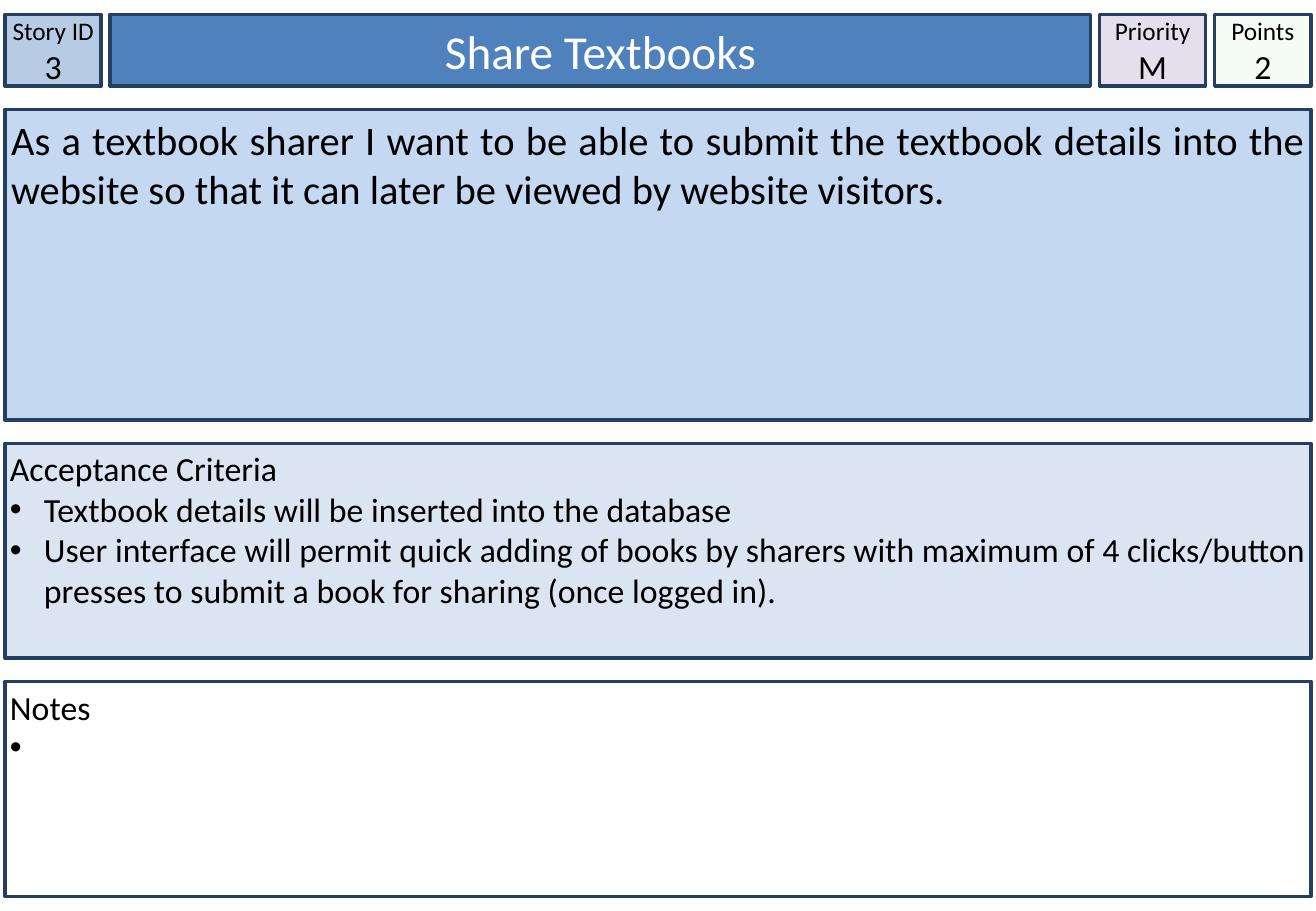
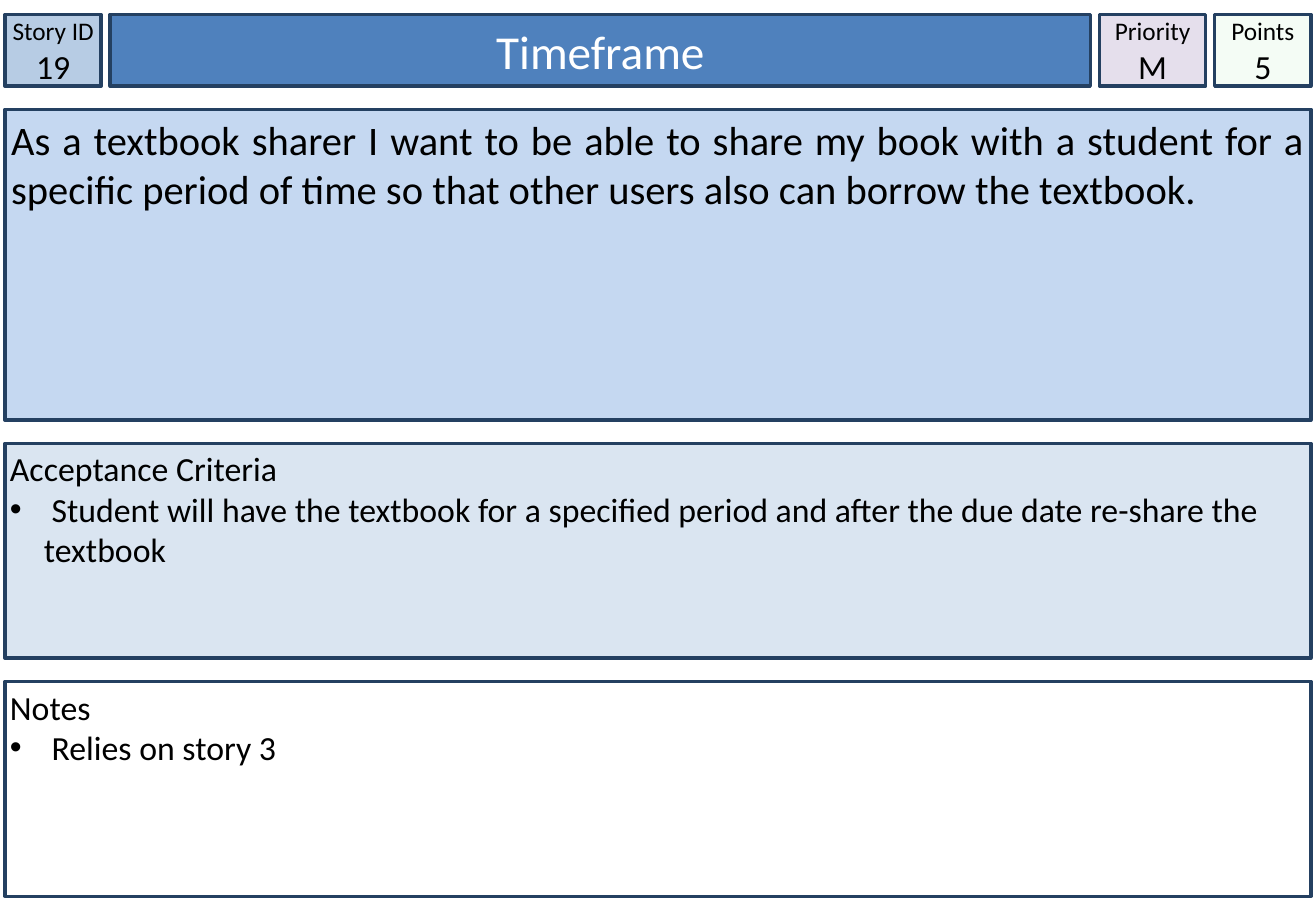
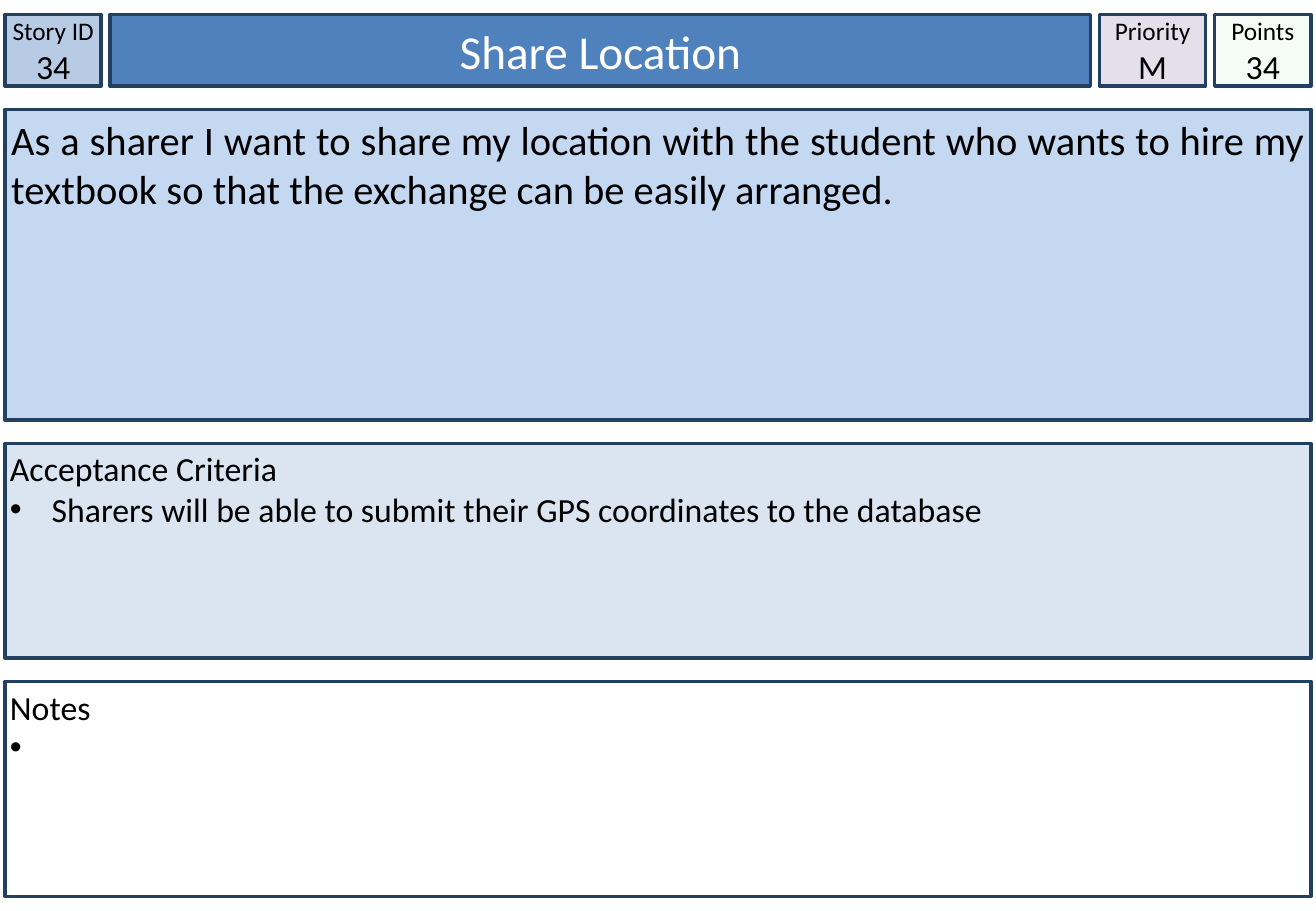
"""Build three user story cards, one per slide."""

import dataclasses

import pptx
import pptx.dml.color
import pptx.enum.shapes
import pptx.enum.text
import pptx.oxml.ns
import pptx.util
from lxml import etree

Pt = pptx.util.Pt
RGB = pptx.dml.color.RGBColor.from_string
ALIGN = pptx.enum.text.PP_ALIGN
ANCHOR = pptx.enum.text.MSO_ANCHOR
qn = pptx.oxml.ns.qn


@dataclasses.dataclass(frozen=True)
class Theme:
    font: str = "Calibri"
    ink: str = "000000"
    title_ink: str = "FFFFFF"
    border: str = "244061"
    story_id: str = "B7CCE4"
    title: str = "4F81BD"
    priority: str = "E5DFEC"
    points: str = "CCF0CD"
    story: str = "C5D8F1"
    criteria: str = "DAE5F1"
    notes: str = "FFFFFF"
    label_size: int = 15
    body_size: int = 20
    story_size: int = 24
    title_size: int = 28
    border_width: int = 2


theme = Theme()

SLIDE_WIDTH, SLIDE_HEIGHT = 780, 540
MARGIN, TOP = 3, 8.6
CONTENT_WIDTH = SLIDE_WIDTH - 2 * MARGIN
HEADER_WIDTHS = [57, 581, 63, 57]
HEADER_GAP = (CONTENT_WIDTH - sum(HEADER_WIDTHS)) / (len(HEADER_WIDTHS) - 1)
HEADER_HEIGHT = 42.5
PANEL_HEIGHTS = [184.3, 127.4, 127.4]
PANEL_GAP = 13.7
BULLET_INDENT = 20.16

stories = [
    {
        "id": "3",
        "title": "Share Textbooks",
        "priority": "M",
        "points": "2",
        "story": "As a textbook sharer I want to be able to submit the textbook details into the "
                 "website so that it can later be viewed by website visitors.",
        "criteria": [
            "Textbook details will be inserted into the database",
            "User interface will permit quick adding of books by sharers with maximum of 4 "
            "clicks/button presses to submit a book for sharing (once logged in).",
        ],
        "notes": [" "],
    },
    {
        "id": "19",
        "title": "Timeframe",
        "priority": "M",
        "points": "5",
        "story": "As a textbook sharer I want to be able to share my book with a student for a "
                 "specific period of time so that other users also can borrow the textbook.",
        "criteria": [
            " Student will have the textbook for a specified period and after the due date "
            "re-share the textbook",
        ],
        "notes": [" Relies on story 3"],
    },
    {
        "id": "34",
        "title": "Share Location",
        "priority": "M",
        "points": "34",
        "story": "As a sharer I want to share my location with the student who wants to hire my "
                 "textbook so that the exchange can be easily arranged.",
        "criteria": [" Sharers will be able to submit their GPS coordinates to the database"],
        "notes": [" "],
    },
]


def add_panel(slide, bounds, fill, lines, inset=0.0, anchor=ANCHOR.TOP, align=ALIGN.LEFT,
              ink=theme.ink):
    """Draw a bordered rectangle holding (text, size, bulleted) lines."""
    panel = slide.shapes.add_shape(
        pptx.enum.shapes.MSO_SHAPE.RECTANGLE, *(Pt(length) for length in bounds))
    panel.shadow.inherit = False
    panel.fill.solid()
    panel.fill.fore_color.rgb = RGB(fill)
    panel.line.color.rgb = RGB(theme.border)
    panel.line.width = Pt(theme.border_width)
    frame = panel.text_frame
    frame_format = {"word_wrap": True, "vertical_anchor": anchor}
    for side in ("left", "top", "right", "bottom"):
        frame_format[f"margin_{side}"] = Pt(inset)
    for name, value in frame_format.items():
        setattr(frame, name, value)
    for index, (text, size, bulleted) in enumerate(lines):
        paragraph = frame.add_paragraph() if index else frame.paragraphs[0]
        paragraph.alignment = align
        if bulleted:
            add_bullet(paragraph)
        run = paragraph.add_run()
        run.text = text
        for name, value in {"name": theme.font, "size": Pt(size)}.items():
            setattr(run.font, name, value)
        run.font.color.rgb = RGB(ink)
    return panel


def add_bullet(paragraph):
    """Give a paragraph a hanging round bullet."""
    properties = paragraph._p.get_or_add_pPr()
    properties.set("marL", str(Pt(BULLET_INDENT)))
    properties.set("indent", str(-Pt(BULLET_INDENT)))
    bullet_color = etree.SubElement(properties, qn("a:buClr"))
    etree.SubElement(bullet_color, qn("a:srgbClr"), val=theme.ink)
    etree.SubElement(properties, qn("a:buFont"), typeface="Arial")
    etree.SubElement(properties, qn("a:buChar"), char="•")


deck = pptx.Presentation()
deck.slide_width, deck.slide_height = Pt(SLIDE_WIDTH), Pt(SLIDE_HEIGHT)

for card in stories:
    slide = deck.slides.add_slide(deck.slide_layouts[6])

    header = [
        (theme.story_id, theme.ink, "Story ID", card["id"]),
        (theme.title, theme.title_ink, None, card["title"]),
        (theme.priority, theme.ink, "Priority", card["priority"]),
        (theme.points, theme.ink, "Points", card["points"]),
    ]
    left = MARGIN
    for width, (fill, ink, label, value) in zip(HEADER_WIDTHS, header):
        if label:
            lines = [(label, theme.label_size, False), (value, theme.body_size, False)]
        else:
            lines = [(value, theme.title_size, False)]
        cell = add_panel(slide, (left, TOP, width, HEADER_HEIGHT), fill, lines,
                         anchor=ANCHOR.MIDDLE, align=ALIGN.CENTER, ink=ink)
        if label == "Points":
            tint = cell._element.spPr.find(qn("a:solidFill")).find(qn("a:srgbClr"))
            etree.SubElement(tint, qn("a:alpha"), val="20000")
        left += width + HEADER_GAP

    panels = [(theme.story, [(card["story"], theme.story_size, False)], 3.6, ALIGN.JUSTIFY)]
    for fill, heading, items in (
        (theme.criteria, "Acceptance Criteria", card["criteria"]),
        (theme.notes, "Notes", card["notes"]),
    ):
        lines = [(heading, theme.body_size, False)]
        lines += [(item, theme.body_size, True) for item in items]
        panels.append((fill, lines, 2.88, ALIGN.LEFT))
    top = TOP + HEADER_HEIGHT + PANEL_GAP
    for height, (fill, lines, inset, align) in zip(PANEL_HEIGHTS, panels):
        add_panel(slide, (MARGIN, top, CONTENT_WIDTH, height), fill, lines,
                  inset=inset, align=align)
        top += height + PANEL_GAP

deck.save("out.pptx")
